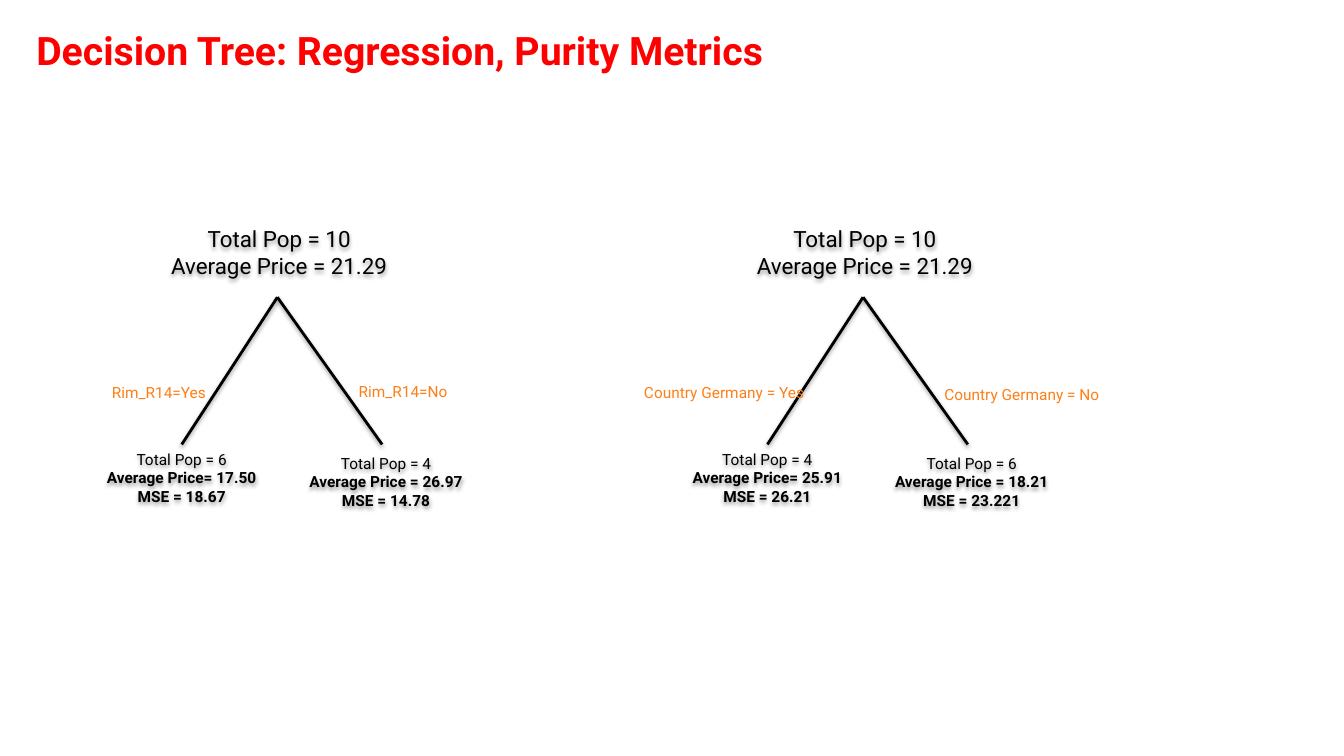
from dataclasses import dataclass

from lxml.etree import SubElement
from pptx import Presentation
from pptx.dml.color import RGBColor
from pptx.enum.shapes import MSO_CONNECTOR
from pptx.enum.text import MSO_ANCHOR, PP_ALIGN
from pptx.oxml.ns import qn
from pptx.shapes.autoshape import Shape
from pptx.shapes.base import BaseShape
from pptx.shapes.connector import Connector
from pptx.slide import Slide
from pptx.text.text import _Paragraph
from pptx.util import Cm, Pt

RED = RGBColor(0xFF, 0x00, 0x00)
BLACK = RGBColor(0x00, 0x00, 0x00)
ORANGE = RGBColor(0xFE, 0x7F, 0x18)
FONT = "Roboto"
APEX_TOP = 7.49
LEAF_TOP = 11.2


@dataclass(frozen=True)
class Area:
    """A rectangle in centimetres."""

    left: float
    top: float
    width: float
    height: float


@dataclass(frozen=True)
class Branch:
    """One side of a split: its condition and the leaf below it."""

    label: str
    label_area: Area
    leaf: tuple[str, str, str]


@dataclass(frozen=True)
class Tree:
    """A split into two branches, placed by its apex."""

    apex: float
    yes: Branch
    no: Branch


TREES = (
    Tree(
        6.99,
        Branch("Rim_R14=Yes", Area(2.57, 9.53, 3.1, 0.74),
               ("Total Pop = 6", "Average Price= 17.50", "MSE = 18.67")),
        Branch("Rim_R14=No", Area(8.79, 9.5, 3.1, 0.74),
               ("Total Pop = 4", "Average Price = 26.97", "MSE = 14.78")),
    ),
    Tree(
        21.75,
        Branch("Country Germany = Yes", Area(15.98, 9.53, 4.8, 0.74),
               ("Total Pop = 4", "Average Price= 25.91", "MSE = 26.21")),
        Branch("Country Germany = No", Area(23.55, 9.58, 4.8, 0.74),
               ("Total Pop = 6", "Average Price = 18.21", "MSE = 23.221")),
    ),
)


def style(para: _Paragraph, size: float, color: RGBColor, bold: bool = False) -> None:
    """Set the font of a paragraph."""
    para.font.name = FONT
    para.font.size = Pt(size)
    para.font.bold = bold
    para.font.color.rgb = color


def add_shadow(shape: BaseShape) -> None:
    """Give a shape a soft shadow straight below it."""
    effects = SubElement(shape._element.spPr, qn("a:effectLst"))
    shadow = SubElement(effects, qn("a:outerShdw"), blurRad="40000", dist="20000",
                        dir="5400000", rotWithShape="0")
    color = SubElement(shadow, qn("a:srgbClr"), val=str(BLACK))
    SubElement(color, qn("a:alpha"), val="38000")


def add_text(page: Slide, area: Area, lines: tuple[str, ...], size: float,
             color: RGBColor) -> Shape:
    """Add a text box with one paragraph per line."""
    box = page.shapes.add_textbox(Cm(area.left), Cm(area.top), Cm(area.width), Cm(area.height))
    frame = box.text_frame
    frame.word_wrap = True
    frame.text = "\n".join(lines)
    for para in frame.paragraphs:
        style(para, size, color)
    return box


def add_node(page: Slide, area: Area, lines: tuple[str, ...], size: float,
             bold_after_first: bool = False) -> Shape:
    """Add a centred tree node with shadowed text."""
    box = add_text(page, area, lines, size, BLACK)
    box.text_frame.vertical_anchor = MSO_ANCHOR.MIDDLE
    for index, para in enumerate(box.text_frame.paragraphs):
        para.alignment = PP_ALIGN.CENTER
        para.font.bold = bold_after_first and index > 0
    add_shadow(box)
    return box


def add_edge(page: Slide, apex: float, foot: float) -> Connector:
    """Add a line from the apex of a tree down to a leaf."""
    edge = page.shapes.add_connector(MSO_CONNECTOR.STRAIGHT, Cm(apex), Cm(APEX_TOP),
                                     Cm(foot), Cm(LEAF_TOP))
    edge.line.color.rgb = BLACK
    edge.line.width = Pt(2)
    add_shadow(edge)
    return edge


def add_tree(page: Slide, tree: Tree) -> None:
    """Draw the root, edges, leaves and conditions of a tree."""
    apex = tree.apex
    yes_edge = add_edge(page, apex, apex - 2.41)
    add_edge(page, apex, apex + 2.64)
    add_node(page, Area(apex - 3.74, 5.38, 7.57, 1.96),
             ("Total Pop = 10", "Average Price = 21.29"), 16)
    yes_leaf = add_node(page, Area(apex - 4.81, LEAF_TOP, 4.8, 1.68), tree.yes.leaf, 11, True)
    yes_edge.end_connect(yes_leaf, 0)
    add_node(page, Area(apex + 0.38, 11.35, 4.72, 1.57), tree.no.leaf, 11, True)
    for branch in (tree.yes, tree.no):
        add_text(page, branch.label_area, (branch.label,), 11, ORANGE)


def add_title(page: Slide, text: str) -> None:
    """Place and format the title."""
    title = page.shapes.title
    title.left, title.top, title.width, title.height = Cm(0.66), Cm(0.46), Cm(31.09), Cm(1.57)
    title.text_frame.text = text
    title.text_frame.vertical_anchor = MSO_ANCHOR.MIDDLE
    para = title.text_frame.paragraphs[0]
    para.alignment = PP_ALIGN.LEFT
    style(para, 28, RED, True)


def main() -> None:
    """Build the slide and save the deck."""
    deck = Presentation()
    deck.slide_width, deck.slide_height = Cm(33.87), Cm(19.05)
    page = deck.slides.add_slide(deck.slide_layouts[5])
    add_title(page, "Decision Tree: Regression, Purity Metrics")
    for tree in TREES:
        add_tree(page, tree)
    deck.save("out.pptx")


if __name__ == "__main__":
    main()
